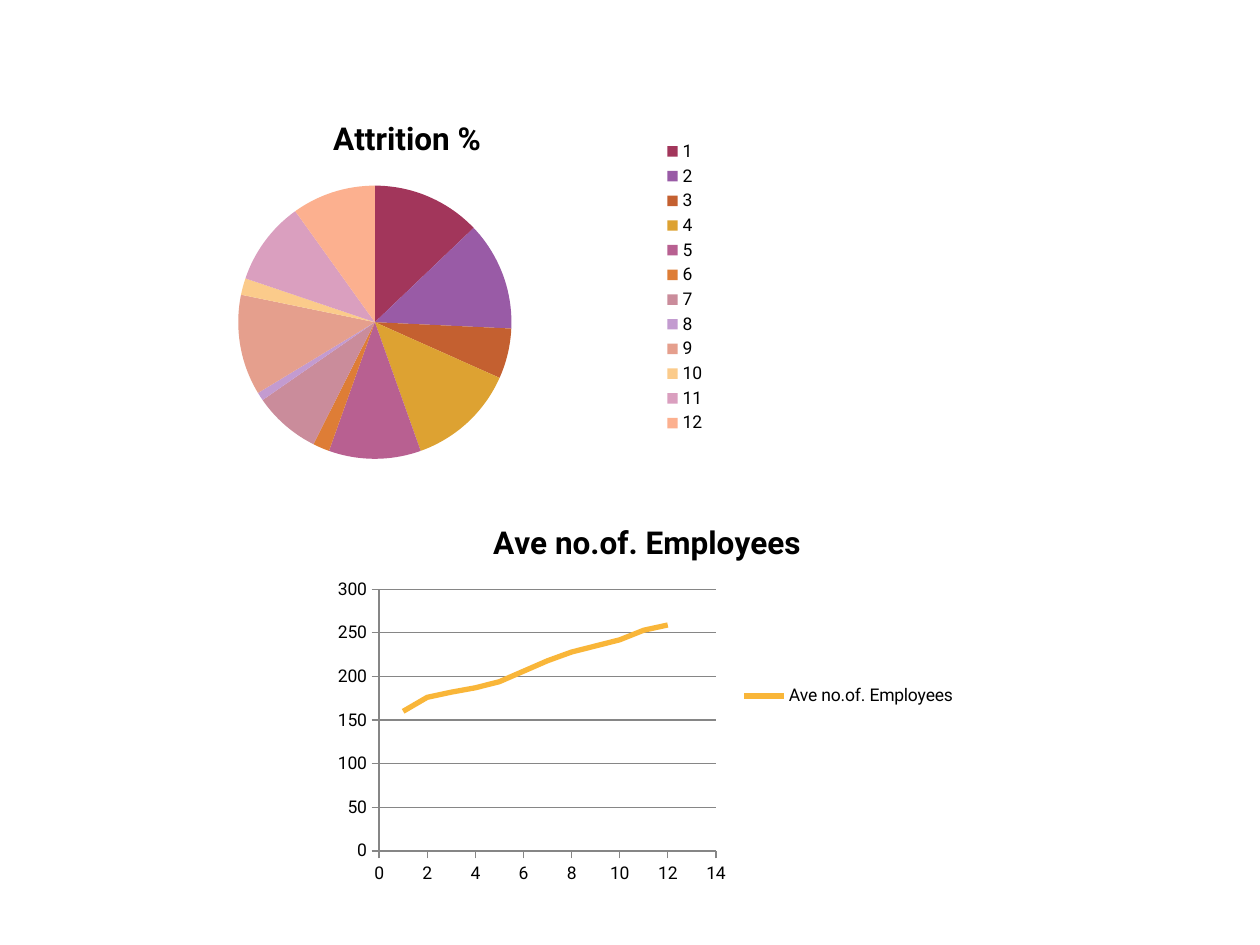
from pptx import Presentation
from pptx import util as u
from pptx.chart import data
from pptx.dml import color
from pptx.enum import chart as kinds

FONT = "Roboto"
PIE_TITLE = " Attrition %"
LINE_TITLE = "Ave no.of. Employees"
ATTRITION = [13, 13, 6, 13, 11, 2, 8, 1, 12, 2, 10, 10]
EMPLOYEES = [160, 176, 182, 187, 194, 206, 218, 228, 235, 242, 253, 259]
SLICE_COLOURS = [
    "A2365B", "995BA6", "C46030", "DDA232", "B86091", "DE7D36",
    "CA8C9B", "C39BD0", "E59F8D", "FBCB8B", "DA9FBF", "FCB08F",
]
LINE_COLOUR = "F9B639"
AXIS_COLOUR = "868686"


def rgb(value):
    return color.RGBColor.from_string(value)


def format_font(font, **values):
    """Set the shared font, then the given attributes."""
    for name, value in {"name": FONT, **values}.items():
        setattr(font, name, value)
    font.color.rgb = rgb("000000")


def add_titled_chart(page, box, kind, values, title):
    """Place a chart with a bold title and a legend on the right."""
    chart = page.shapes.add_chart(kind, *map(u.Inches, box), values).chart
    format_font(chart.font, size=u.Pt(10))
    chart.has_title = True
    frame = chart.chart_title.text_frame
    frame.text = title
    format_font(frame.paragraphs[0].runs[0].font, size=u.Pt(18), bold=True)
    chart.chart_title.include_in_layout = False
    chart.has_legend = True
    chart.legend.position = kinds.XL_LEGEND_POSITION.RIGHT
    chart.legend.include_in_layout = False
    return chart


def attrition_pie(page, box):
    values = data.CategoryChartData()
    values.categories = [str(month) for month in range(1, len(ATTRITION) + 1)]
    values.add_series(PIE_TITLE, ATTRITION)
    chart = add_titled_chart(page, box, kinds.XL_CHART_TYPE.PIE, values, PIE_TITLE)
    for index, colour in enumerate(SLICE_COLOURS):
        fill = chart.series[0].points[index].format.fill
        fill.solid()
        fill.fore_color.rgb = rgb(colour)


def employee_line(page, box):
    values = data.XyChartData()
    points = values.add_series(LINE_TITLE)
    for month, count in enumerate(EMPLOYEES, 1):
        points.add_data_point(month, count)
    kind = kinds.XL_CHART_TYPE.XY_SCATTER_LINES_NO_MARKERS
    chart = add_titled_chart(page, box, kind, values, LINE_TITLE)

    # Axes and gridlines
    scales = ((chart.category_axis, 14, 2), (chart.value_axis, 300, 50))
    for axis, maximum, step in scales:
        settings = {
            "minimum_scale": 0,
            "maximum_scale": maximum,
            "major_unit": step,
            "major_tick_mark": kinds.XL_TICK_MARK.OUTSIDE,
            "minor_tick_mark": kinds.XL_TICK_MARK.NONE,
            "has_major_gridlines": axis is chart.value_axis,
        }
        for name, value in settings.items():
            setattr(axis, name, value)
        axis.format.line.color.rgb = rgb(AXIS_COLOUR)
    chart.value_axis.major_gridlines.format.line.color.rgb = rgb(AXIS_COLOUR)

    # Employee series
    series = chart.plots[0].series[0]
    series.smooth = False
    series.format.line.color.rgb = rgb(LINE_COLOUR)
    series.format.line.width = u.Pt(3)


def main():
    deck = Presentation()
    deck.slide_width, deck.slide_height = u.Inches(10), u.Inches(7.5)
    page = deck.slides.add_slide(deck.slide_layouts[6])
    attrition_pie(page, (0.7, 0.78, 5, 3))
    employee_line(page, (2.58, 3.98, 5.11, 3.09))
    deck.save("out.pptx")


if __name__ == "__main__":
    main()
